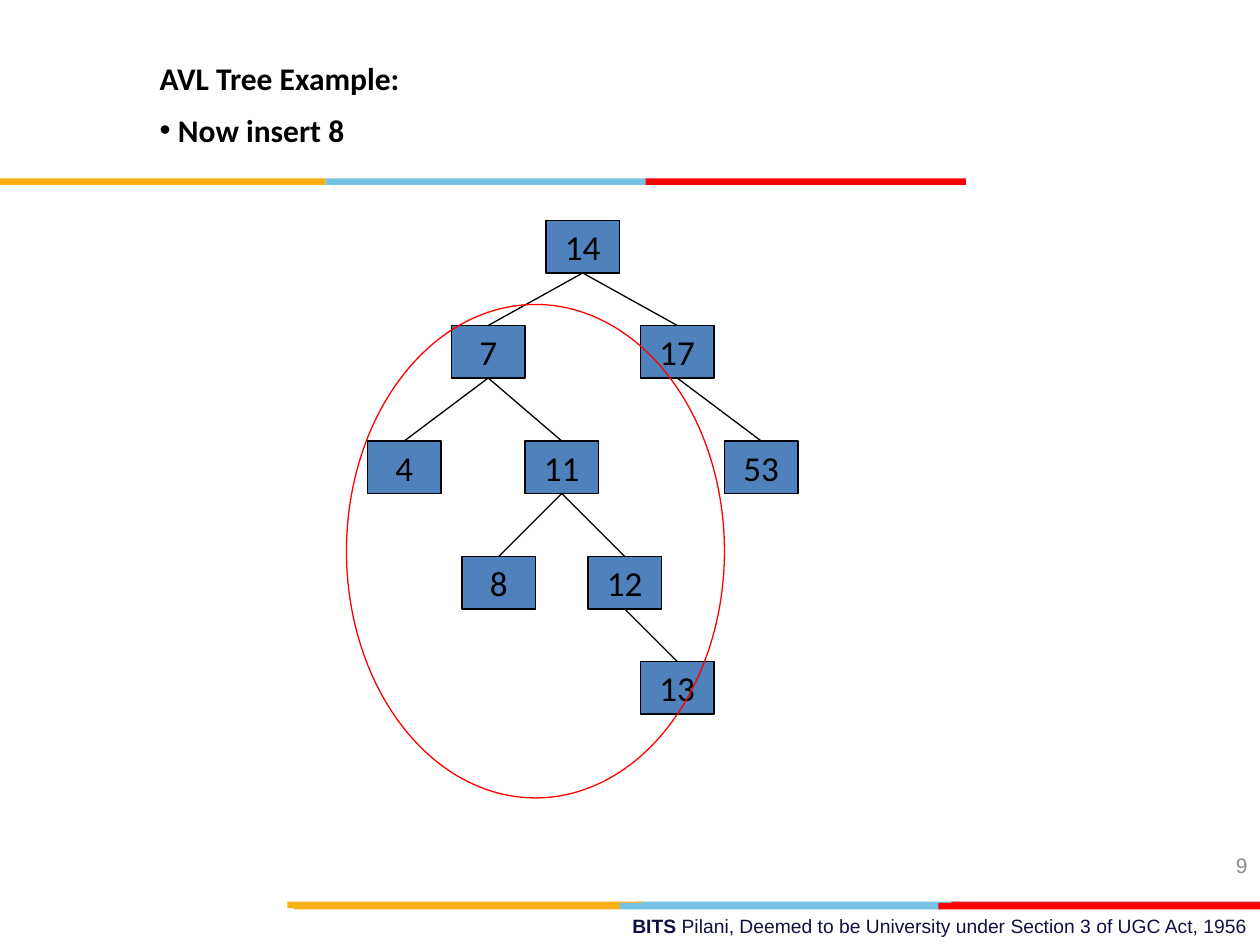
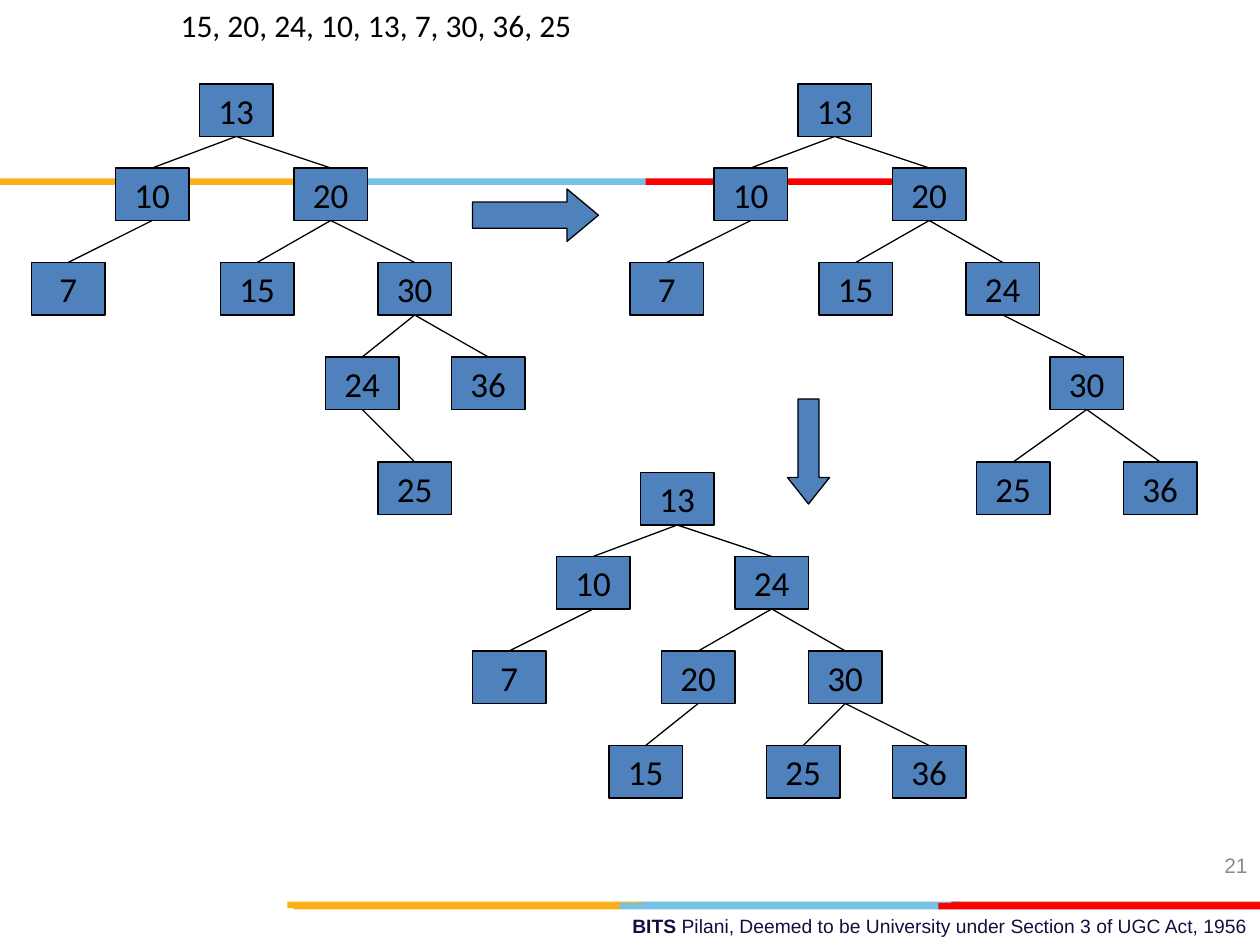
"""Build two slides of AVL tree insertion diagrams with shared bands and footer."""
from dataclasses import dataclass

from lxml.etree import SubElement
from pptx import Presentation
from pptx.dml.color import RGBColor
from pptx.enum.shapes import MSO_CONNECTOR, MSO_SHAPE
from pptx.enum.text import MSO_ANCHOR, MSO_AUTO_SIZE, PP_ALIGN
from pptx.oxml.ns import qn
from pptx.util import Pt

PX = 9525
RECT, OVAL = MSO_SHAPE.RECTANGLE, MSO_SHAPE.OVAL
RIGHT_ARROW, DOWN_ARROW = MSO_SHAPE.RIGHT_ARROW, MSO_SHAPE.DOWN_ARROW
STRAIGHT = MSO_CONNECTOR.STRAIGHT
TOP, MIDDLE = MSO_ANCHOR.TOP, MSO_ANCHOR.MIDDLE
LEFT, CENTER, RIGHT = PP_ALIGN.LEFT, PP_ALIGN.CENTER, PP_ALIGN.RIGHT
BOTTOM_SIDE, TOP_SIDE = 2, 0


@dataclass(frozen=True)
class Theme:
    """Colours, fonts and type sizes."""
    ink: str = "000000"
    node: str = "4F81BD"
    ring: str = "FF0000"
    gold: str = "FCB017"
    sky: str = "76C2E5"
    red: str = "FF0000"
    brick: str = "E31C24"
    navy: str = "101141"
    grey: str = "8C8C8C"
    body: str = "Calibri"
    small: str = "Arial"
    title_size: int = 18
    node_size: int = 20
    page_size: int = 12
    foot_size: int = 11
    line: float = 0.75


THEME = Theme()
NODE_W, NODE_H = 56, 40
BAND_H = 5
BANDS = [
    (687, [(THEME.sky, 486, 245), (THEME.brick, 725, 235), (THEME.gold, 219, 271)]),
    (688, [(THEME.sky, 472, 245), (THEME.gold, 224, 248), (THEME.red, 715, 245)]),
    (136, [(THEME.sky, 248, 245), (THEME.gold, 0, 248), (THEME.red, 492, 244)]),
]

WIDE_ROWS = [0, 80, 168, 256, 336]
TIGHT_ROWS = [0, 64, 136, 208, 288]

# Each node: value, row, offset from the root, parent value
INSERT_TREE = [
    (14, 0, 0, None), (7, 1, -72, 14), (17, 1, 72, 14),
    (4, 2, -136, 7), (11, 2, -16, 7), (53, 2, 136, 17),
    (8, 3, -64, 11), (12, 3, 32, 11), (13, 4, 72, 12),
]
START_TREE = [
    (13, 0, 0, None), (10, 1, -64, 13), (20, 1, 72, 13),
    (7, 2, -128, 10), (15, 2, 16, 20), (30, 2, 136, 20),
    (24, 3, 96, 30), (36, 3, 192, 30), (25, 4, 136, 24),
]
TURN_TREE = [
    (13, 0, 0, None), (10, 1, -64, 13), (20, 1, 72, 13),
    (7, 2, -128, 10), (15, 2, 16, 20), (24, 2, 128, 20),
    (30, 3, 192, 24), (25, 4, 136, 30), (36, 4, 248, 30),
]
FINAL_TREE = [
    (13, 0, 0, None), (10, 1, -64, 13), (24, 1, 72, 13),
    (7, 2, -128, 10), (20, 2, 16, 24), (30, 2, 128, 24),
    (15, 3, -24, 20), (25, 3, 96, 30), (36, 3, 192, 30),
]


def scale(*lengths):
    """Turn px into EMU."""
    return [length * PX for length in lengths]


def tint(code):
    """Turn a hex code into a colour."""
    return RGBColor.from_string(code)


def write(para, text, size, color=THEME.ink, face=THEME.body, bold=False, align=LEFT):
    """Add a formatted run to a paragraph."""
    para.alignment = align
    run = para.add_run()
    run.text = text
    font = run.font
    font.size, font.name, font.bold = Pt(size), face, bold
    font.color.rgb = tint(color)


def draw(slide, kind, box, fill=None, line=None, adjust=()):
    """Add a flat preset shape."""
    shape = slide.shapes.add_shape(kind, *scale(*box))
    shape.shadow.inherit = False
    for place, value in enumerate(adjust):
        shape.adjustments[place] = value
    if fill:
        shape.fill.solid()
        shape.fill.fore_color.rgb = tint(fill)
    else:
        shape.fill.background()
    if line:
        shape.line.color.rgb = tint(line)
        shape.line.width = Pt(THEME.line)
    else:
        shape.line.fill.background()
    return shape


def label(slide, box, anchor=TOP):
    """Add a wrapping text box and return its first paragraph."""
    frame = slide.shapes.add_textbox(*scale(*box)).text_frame
    frame.word_wrap = True
    frame.vertical_anchor = anchor
    return frame.paragraphs[0]


def head(slide, box, text, bold=False, bullet=None):
    """Place the title with an optional bulleted line."""
    title = slide.shapes.title
    title.left, title.top, title.width, title.height = scale(*box)
    frame = title.text_frame
    frame.auto_size = MSO_AUTO_SIZE.NONE
    frame.word_wrap = True
    frame.vertical_anchor = TOP
    write(frame.paragraphs[0], text, THEME.title_size, bold=bold)
    if bullet:
        para = frame.add_paragraph()
        para.space_before = Pt(8)
        props = para._p.get_or_add_pPr()
        indent = 14 * PX
        props.set("marL", str(indent))
        props.set("indent", str(-indent))
        SubElement(props, qn("a:buFont"), typeface=THEME.small)
        SubElement(props, qn("a:buChar"), char="•")
        write(para, bullet, THEME.title_size, bold=bold)


def trim(slide, page):
    """Draw the bands, the footer and the page number."""
    for top, parts in BANDS:
        for color, left, width in parts:
            draw(slide, RECT, (left, top, width, BAND_H), fill=color)
    look = dict(size=THEME.foot_size, color=THEME.navy, face=THEME.small, align=RIGHT)
    foot = label(slide, (344, 692, 616, 28))
    write(foot, "BITS ", bold=True, **look)
    write(foot, "Pilani, Deemed to be University under Section 3 of UGC Act, 1956", **look)
    write(label(slide, (736, 640, 224, 38), MIDDLE), str(page), THEME.page_size,
          color=THEME.grey, face=THEME.small, align=RIGHT)


def join(slide, upper, lower):
    """Link a parent node to its child."""
    link = slide.shapes.add_connector(STRAIGHT, 0, 0, 0, 0)
    link.begin_connect(upper, BOTTOM_SIDE)
    link.end_connect(lower, TOP_SIDE)
    link.line.color.rgb = tint(THEME.ink)
    link.line.width = Pt(THEME.line)
    SubElement(link._element.spPr, qn("a:effectLst"))


def tree(slide, root, nodes, rows):
    """Draw a tree whose root node sits at the given corner."""
    left, top = root
    made = {}
    for value, row, shift, parent in nodes:
        box = (left + shift, top + rows[row], NODE_W, NODE_H)
        shape = draw(slide, RECT, box, THEME.node, THEME.ink)
        frame = shape.text_frame
        frame.word_wrap = False
        frame.vertical_anchor = MIDDLE
        write(frame.paragraphs[0], str(value), THEME.node_size, align=CENTER)
        made[value] = shape
        if parent is not None:
            join(slide, made[parent], shape)


def start(deck, page):
    """Add a title-only slide with the shared trim."""
    slide = deck.slides.add_slide(deck.slide_layouts[5])
    trim(slide, page)
    return slide


def insert_slide(deck):
    """Show the tree after inserting 8."""
    slide = start(deck, 9)
    head(slide, (112, 40, 752, 82), "AVL Tree Example:", bold=True, bullet="Now insert 8")
    tree(slide, (416, 168), INSERT_TREE, WIDE_ROWS)
    draw(slide, OVAL, (264, 232, 288, 376), line=THEME.ring)


def rotate_slide(deck):
    """Show a double rotation in three trees."""
    slide = start(deck, 21)
    head(slide, (128, 0, 736, 38), "15, 20, 24, 10, 13, 7, 30, 36, 25")
    for root, nodes in (((152, 64), START_TREE), ((608, 64), TURN_TREE),
                        ((488, 360), FINAL_TREE)):
        tree(slide, root, nodes, TIGHT_ROWS)
    for kind, box, adjust in ((RIGHT_ARROW, (360, 144, 96, 40), (0.5, 0.6)),
                              (DOWN_ARROW, (600, 304, 32, 80), (0.5, 0.63))):
        draw(slide, kind, box, THEME.node, THEME.ink, adjust)


def main():
    """Build and save the deck."""
    deck = Presentation()
    deck.slide_width, deck.slide_height = scale(960, 720)
    insert_slide(deck)
    rotate_slide(deck)
    deck.save("out.pptx")


if __name__ == "__main__":
    main()
